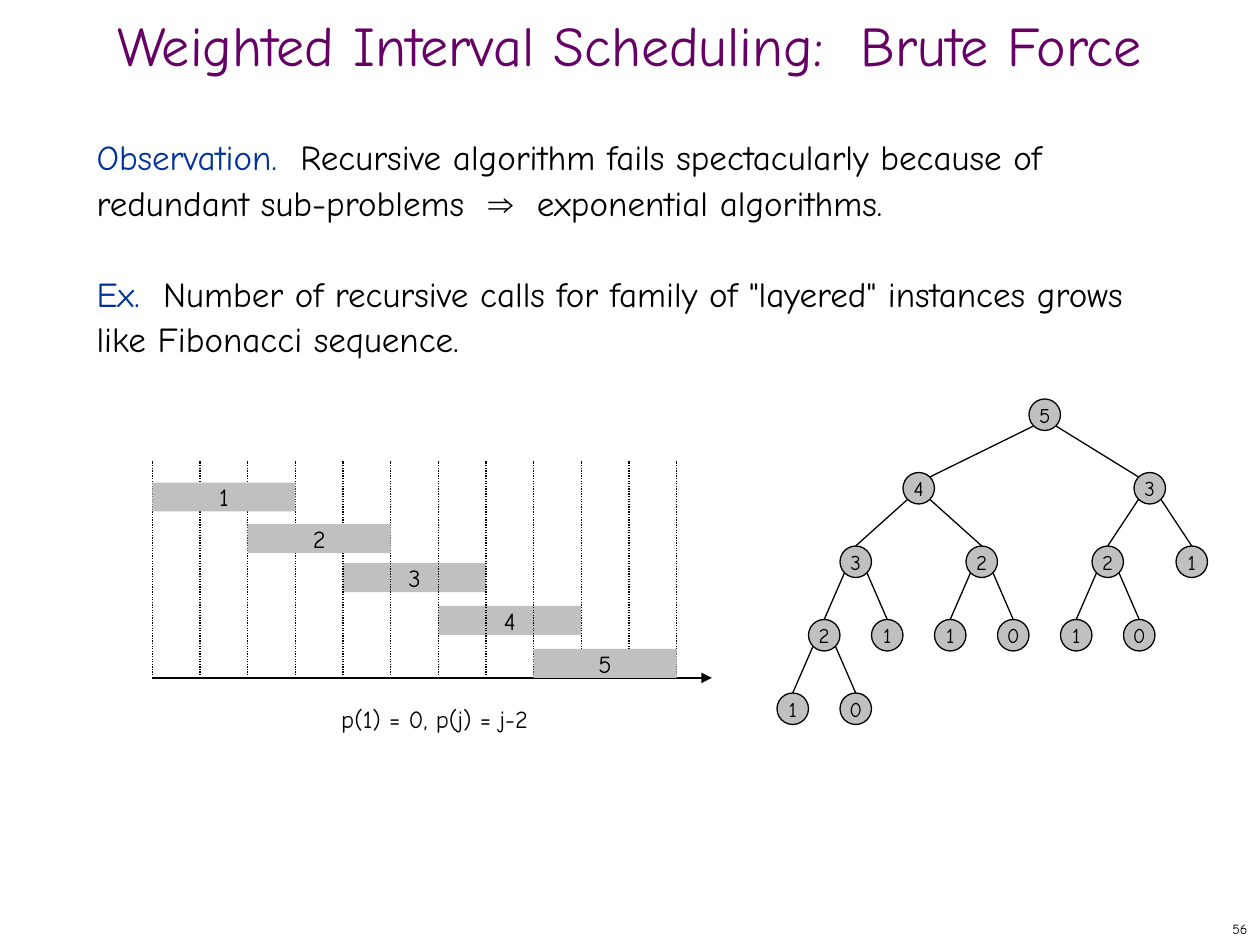
from lxml.etree import SubElement
from pptx import Presentation
from pptx.dml.color import RGBColor
from pptx.enum.dml import MSO_LINE
from pptx.enum.shapes import MSO_CONNECTOR, MSO_SHAPE
from pptx.enum.text import MSO_ANCHOR as Anchor, MSO_AUTO_SIZE as AutoSize, PP_ALIGN as Align
from pptx.oxml.ns import qn
from pptx.util import Inches, Pt

BLACK = RGBColor(0x00, 0x00, 0x00)
GRAY = RGBColor(0xC0, 0xC0, 0xC0)
BLUE = RGBColor(0x00, 0x33, 0x99)
PURPLE = RGBColor(0x66, 0x00, 0x66)
FONT = "Comic Neue"


def write(holder, text, size, align=Align.CENTER, color=BLACK):
    frame = holder.text_frame
    frame.text = text
    frame.word_wrap = False
    frame.vertical_anchor = Anchor.MIDDLE
    frame.paragraphs[0].alignment = align
    font = frame.paragraphs[0].runs[0].font
    font.name, font.size, font.color.rgb = FONT, Pt(size), color


def draw_line(shapes, x1, y1, x2, y2):
    line = shapes.add_connector(MSO_CONNECTOR.STRAIGHT, int(x1), int(y1), int(x2), int(y2))
    line.line.color.rgb = BLACK
    line.line.width = Pt(0.75)
    SubElement(line._element.spPr, qn("a:effectLst"))
    return line


deck = Presentation()
deck.slide_width, deck.slide_height = Inches(10), Inches(7.5)
unit = deck.slide_width // 120
slide = deck.slides.add_slide(deck.slide_layouts[1])

title = slide.shapes.title
title.left, title.top, title.width, title.height = 0, 2 * unit, 120 * unit, 6 * unit
write(title, "Weighted Interval Scheduling:  Brute Force", 32, color=PURPLE)
title.text_frame.word_wrap = True
title.text_frame.auto_size = AutoSize.NONE
title.text_frame.paragraphs[0].line_spacing = 0.7

body = slide.placeholders[1]
body.left, body.top, body.width, body.height = 8 * unit, 12 * unit, 103 * unit, 71 * unit
body.text_frame.auto_size = AutoSize.NONE
statements = [
    [
        ("Observation.  ", FONT, BLUE),
        ("Recursive algorithm fails spectacularly because of redundant sub-problems  ", FONT, BLACK),
        ("⇒", "Arial", BLACK),
        ("  exponential algorithms.", FONT, BLACK),
    ],
    [
        ("Ex.  ", FONT, BLUE),
        ('Number of recursive calls for family of "layered" instances grows like Fibonacci sequence.', FONT, BLACK),
    ],
]
for position, parts in enumerate(statements):
    statement = body.text_frame.paragraphs[0] if position == 0 else body.text_frame.add_paragraph()
    props = statement._p.get_or_add_pPr()
    props.set("marL", "0")
    props.set("indent", "0")
    SubElement(props, qn("a:buNone"))
    statement.line_spacing = Pt(26)
    statement.space_before = Pt(26 * position)
    for words, face, color in parts:
        run = statement.add_run()
        run.text = words
        run.font.name, run.font.size, run.font.color.rgb = face, Pt(20), color

page = slide.shapes.add_textbox(95 * unit, 87 * unit, 25 * unit, 3 * unit)
write(page, "56", 8, Align.RIGHT)

start, base, ruler_top = Inches(1.21), Inches(5.38), Inches(3.66)
step = Inches(5.37 - 1.21) / 11
axis = draw_line(slide.shapes, start, base, Inches(5.65), base)
SubElement(axis.line._get_or_add_ln(), qn("a:tailEnd"), type="triangle")

job_tops = {3: 4.47, 4: 4.81, 1: 3.83, 2: 4.16, 5: 5.15}
for job, top in job_tops.items():
    if job == 1:
        rulers = slide.shapes.add_group_shape()
        for tick in range(12):
            x = start + tick * step
            ruler = draw_line(rulers.shapes, x, base, x, ruler_top)
            ruler.line.dash_style = MSO_LINE.ROUND_DOT
    left = int(start + 2 * (job - 1) * step)
    bar = slide.shapes.add_shape(MSO_SHAPE.RECTANGLE, left, Inches(top), int(3 * step), Inches(0.23))
    bar.shadow.inherit = False
    bar.fill.solid()
    bar.fill.fore_color.rgb = GRAY
    bar.line.fill.background()
    write(bar, str(job), 14)

recurrence = slide.shapes.add_textbox(Inches(2.61), Inches(5.54), Inches(1.69), Inches(0.33))
write(recurrence, "p(1) = 0, p(j) = j-2", 14, Align.LEFT)

calls = [
    (5, 98, 0, None),
    (4, 86, 1, 0), (3, 108, 1, 0),
    (3, 80, 2, 1), (2, 92, 2, 1), (2, 104, 2, 2), (1, 112, 2, 2),
    (2, 77, 3, 3), (1, 83, 3, 3),
    (1, 74, 4, 7), (0, 80, 4, 7),
    (1, 89, 3, 4), (0, 95, 3, 4),
    (1, 101, 3, 5), (0, 107, 3, 5),
]
tree = slide.shapes.add_group_shape().shapes
size = 3 * unit
rim = Inches(0.09)
for label, column, depth, parent in calls:
    left, top = column * unit, (38 + 7 * depth) * unit
    node = tree.add_shape(MSO_SHAPE.OVAL, left, top, size, size)
    node.shadow.inherit = False
    node.fill.solid()
    node.fill.fore_color.rgb = GRAY
    node.line.color.rgb = BLACK
    node.line.width = Pt(0.75)
    write(node, str(label), 12)
    if parent is not None:
        parent_column, parent_depth = calls[parent][1:3]
        side = 1 if column > parent_column else -1
        middle = left + size / 2
        x1 = parent_column * unit + size / 2 + side * rim
        y1 = (38 + 7 * parent_depth) * unit + size / 2 + rim
        x2, y2 = (middle - side * rim, top + size / 2 - rim) if depth == 1 else (middle, top)
        draw_line(tree, x1, y1, x2, y2)

deck.save("out.pptx")
